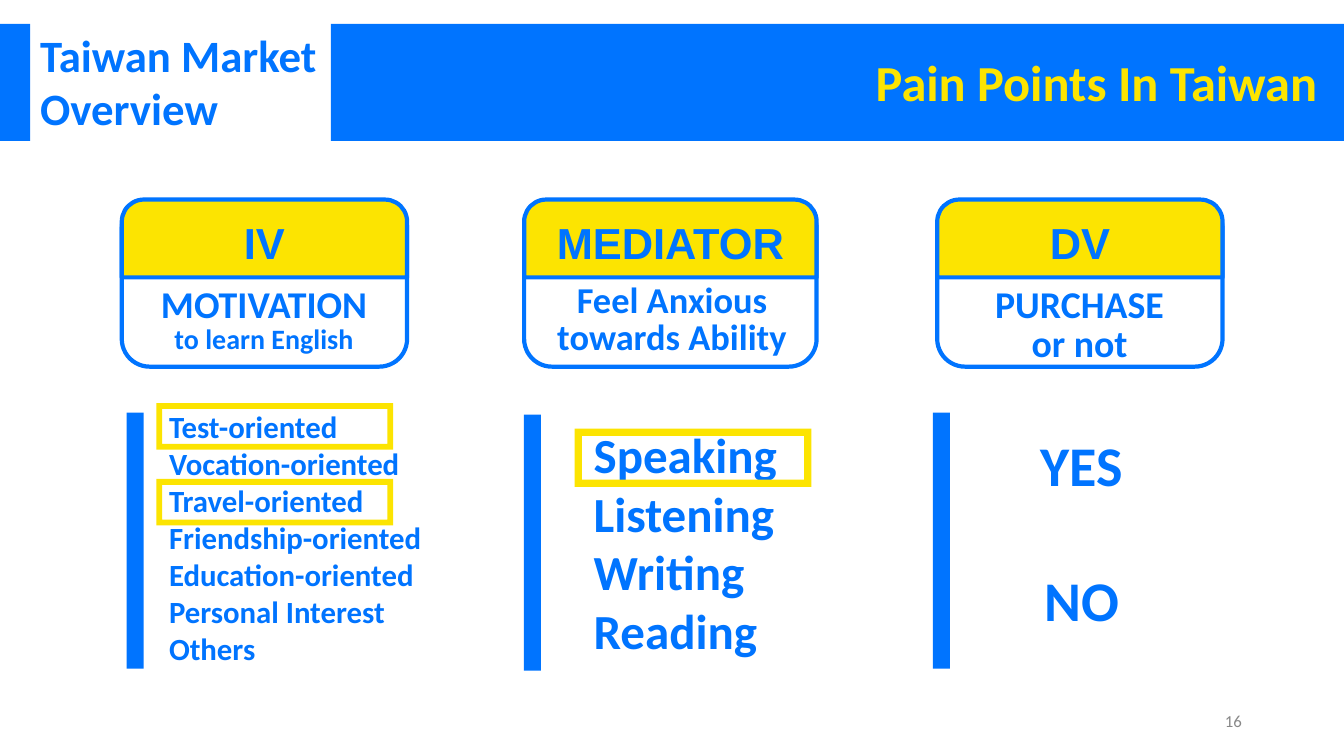
from dataclasses import dataclass

from pptx import Presentation
from pptx.dml.color import RGBColor
from pptx.enum import shapes as kinds, text as txt
from pptx.oxml import ns, xmlchemy
from pptx.util import Cm, Pt

BLUE = RGBColor(0x00, 0x74, 0xFF)
YELLOW = RGBColor(0xFC, 0xE4, 0x01)
GREY = RGBColor(0x88, 0x88, 0x88)
PRESET = kinds.MSO_SHAPE
ALIGN = txt.PP_ALIGN
ANCHOR = txt.MSO_ANCHOR


@dataclass(frozen=True)
class Box:
    """Position and size in centimetres."""
    left: float
    top: float
    width: float
    height: float

    def lengths(self) -> tuple:
        return Cm(self.left), Cm(self.top), Cm(self.width), Cm(self.height)


@dataclass(frozen=True)
class Style:
    size: float
    color: RGBColor = BLUE
    bold: bool = True
    font: str = "Calibri"
    align: ALIGN = ALIGN.LEFT
    anchor: ANCHOR = ANCHOR.TOP
    inset: float = 0.25
    line_spacing: float = 1.0
    gap: float = 0


@dataclass(frozen=True)
class Column:
    """A variable of the model: headed card, side bar and list of values."""
    heading: str
    left: float
    width: float
    caption: tuple
    caption_sizes: tuple
    caption_box: Box
    bar_left: float
    bar_top: float
    values: tuple
    values_box: Box
    values_style: Style
    placeholder: int


COLUMNS = (
    Column("IV", 3.07, 7.19, ("MOTIVATION", "to learn English"), (27, 20),
           Box(2.97, 7.01, 7.37, 1.96), 3.19, 10.4,
           ("Test-oriented", "Vocation-oriented", "Travel-oriented",
            "Friendship-oriented", "Education-oriented", "Personal Interest",
            "Others"),
           Box(4.01, 10.03, 7.19, 7.24), Style(22), 1),
    Column("MEDIATOR", 13.21, 7.37, ("Feel Anxious", "towards Ability"), (26, 26),
           Box(13.41, 6.91, 7.06, 2.26), 13.2, 10.45,
           ("Speaking", "Listening", "Writing", "Reading"),
           Box(14.71, 10.44, 6.83, 6.63), Style(35), 2),
    Column("DV", 23.62, 7.19, ("PURCHASE", "or not"), (27, 27),
           Box(23.52, 7.01, 7.37, 1.96), 23.51, 10.4,
           ("YES", "NO"),
           Box(25.45, 10.59, 3.61, 6.1),
           Style(40, align=ALIGN.CENTER, gap=49), 3),
)
HIGHLIGHTS = (
    Box(3.94, 10.16, 5.97, 1.17),
    Box(3.94, 12.07, 5.97, 1.17),
    Box(14.48, 10.8, 5.97, 1.47),
)


def write(shape, lines: tuple, style: Style, sizes: tuple = ()) -> None:
    frame = shape.text_frame
    frame.word_wrap = True
    frame.auto_size = txt.MSO_AUTO_SIZE.NONE
    frame.vertical_anchor = style.anchor
    frame.margin_left = frame.margin_right = Cm(0.25)
    frame.margin_top = frame.margin_bottom = Cm(style.inset)
    frame.text = "\n".join(lines)
    for row, paragraph in enumerate(frame.paragraphs):
        paragraph.alignment = style.align
        paragraph.line_spacing = style.line_spacing
        paragraph.space_before = Pt(style.gap if row else 0)
        paragraph.space_after = Pt(0)
        if shape.is_placeholder:
            remove_bullet(paragraph)
        font = paragraph.font
        font.name, font.bold = style.font, style.bold
        font.size = Pt(sizes[row] if sizes else style.size)
        font.color.rgb = style.color


def remove_bullet(paragraph) -> None:
    properties = paragraph._p.get_or_add_pPr()
    properties.set("marL", "0")
    properties.set("indent", "0")
    properties.append(xmlchemy.OxmlElement("a:buNone"))


def add_text(slide, box: Box, lines: tuple, style: Style, sizes: tuple = ()) -> None:
    write(slide.shapes.add_textbox(*box.lengths()), lines, style, sizes)


def fill_placeholder(holder, box: Box, lines: tuple, style: Style) -> None:
    holder.left, holder.top, holder.width, holder.height = box.lengths()
    write(holder, lines, style)


def add_shape(slide, preset: PRESET, box: Box, fill: RGBColor | None = None,
              outlined: bool = False, adjustments: tuple = ()):
    shape = slide.shapes.add_shape(preset, *box.lengths())
    shape.shadow.inherit = False
    for index, value in enumerate(adjustments):
        shape.adjustments[index] = value
    if fill is None:
        shape.fill.background()
    else:
        shape.fill.solid()
        shape.fill.fore_color.rgb = fill
    if outlined:
        shape.line.color.rgb = BLUE
        shape.line.width = Pt(3)
    else:
        shape.line.fill.background()
    return shape


def add_column(slide, column: Column) -> None:
    # Card with its heading
    add_shape(slide, PRESET.ROUNDED_RECTANGLE,
              Box(column.left, 5.05, column.width, 4.19),
              outlined=True, adjustments=(0.167,))
    heading = add_shape(slide, PRESET.ROUND_2_SAME_RECTANGLE,
                        Box(column.left, 5.03, column.width, 1.96), YELLOW,
                        outlined=True, adjustments=(0.283, 0))
    write(heading, (column.heading,),
          Style(31, font="Arial", align=ALIGN.CENTER, anchor=ANCHOR.MIDDLE))
    add_text(slide, column.caption_box, column.caption,
             Style(27, align=ALIGN.CENTER, line_spacing=0.85),
             column.caption_sizes)
    # Values beside their bar
    add_shape(slide, PRESET.RECTANGLE,
              Box(column.bar_left, column.bar_top, 0.43, 6.45), BLUE)
    fill_placeholder(slide.placeholders[column.placeholder], column.values_box,
                     column.values, column.values_style)


def main() -> None:
    deck = Presentation()
    deck.slide_width, deck.slide_height = Cm(33.87), Cm(19.05)
    slide = deck.slides.add_slide(deck.slide_layouts.get_by_name("Comparison"))
    tree = slide.shapes.element
    tree.remove(slide.placeholders[4].element)

    # Header band, section name and title
    for left, width in ((0, 0.76), (8.34, 25.53)):
        add_shape(slide, PRESET.RECTANGLE, Box(left, 0.6, width, 2.95), BLUE)
    add_text(slide, Box(0.76, 0.56, 7.57, 3), ("Taiwan Market Overview",),
             Style(32, inset=0.13))
    title = slide.shapes.title
    fill_placeholder(title, Box(14.25, 0.56, 19.2, 3), ("Pain Points In Taiwan",),
                     Style(36, YELLOW, align=ALIGN.RIGHT,
                           anchor=ANCHOR.MIDDLE, inset=0.13))
    tree.append(title.element)  # in front of the band

    # Three variables
    for column in COLUMNS:
        add_column(slide, column)

    # Highlighted values
    for box in HIGHLIGHTS:
        add_shape(slide, PRESET.FRAME, box, YELLOW, adjustments=(0.125,))

    # Page number
    add_text(slide, Box(23.93, 17.65, 7.62, 1.02), ("16",),
             Style(12, GREY, bold=False, align=ALIGN.RIGHT,
                   anchor=ANCHOR.MIDDLE, inset=0.13))
    deck.save("out.pptx")


if __name__ == "__main__":
    main()
